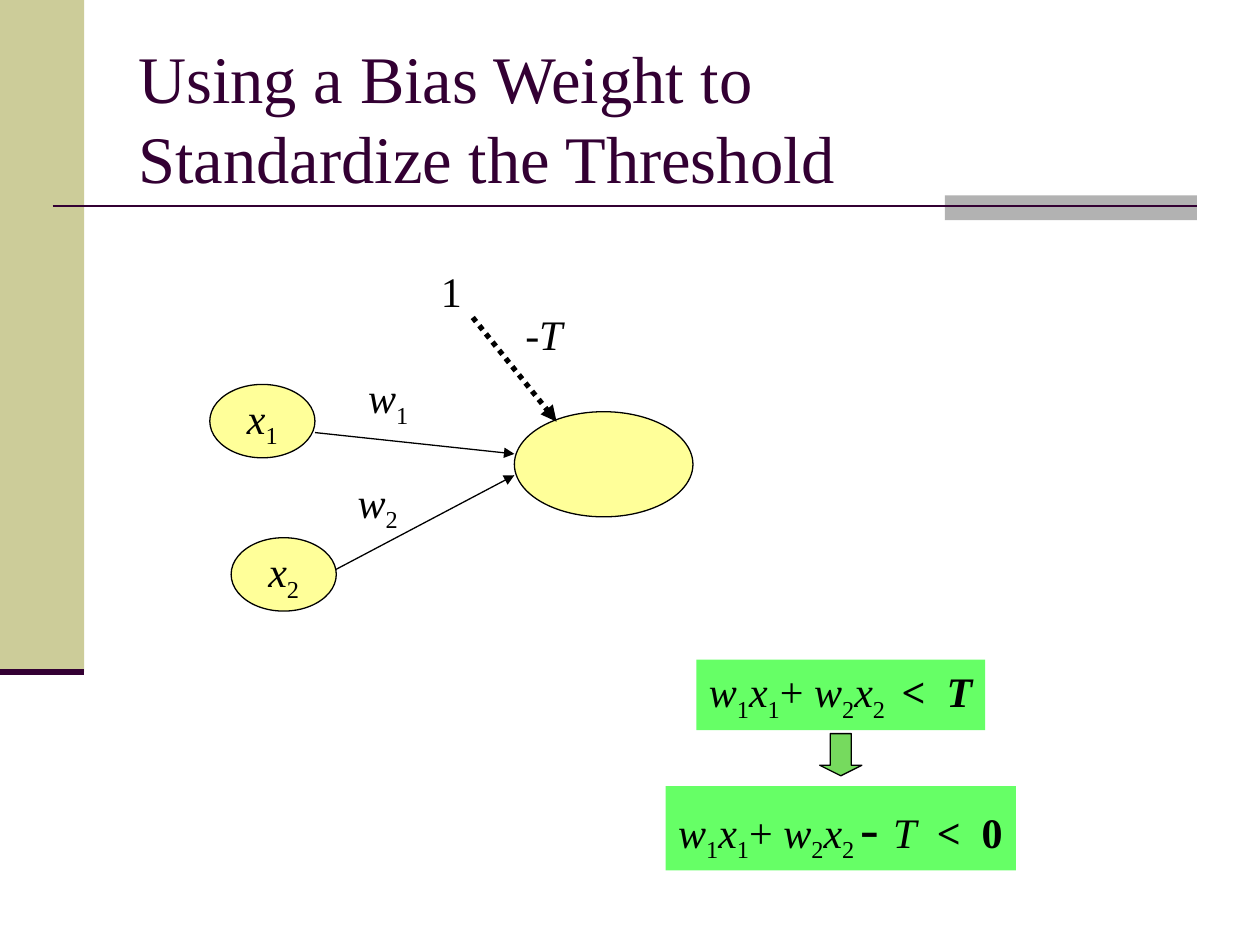
from lxml import etree
from pptx import Presentation
from pptx import util as u
from pptx.dml.color import RGBColor
from pptx.enum import dml, shapes, text
from pptx.oxml.ns import qn

FONT = "Times New Roman"
INK, PLUM, KHAKI, GREY = "000000", "330033", "CCCC99", "B2B2B2"
YELLOW, GREEN, LEAF = "FFFF99", "66FF66", "76DA5E"

# All positions are in cm: left, top, width, height
TITLE = ("Using a Bias Weight to", "Standardize the Threshold")
TITLE_AREA = (2.54, 0.76, 21.59, 3.18)
BANDS = [((0, 0, 1.7, 13.55), KHAKI), ((19.05, 3.94, 5.08, 0.5), GREY)]
RULES = [((1.06, 4.15), (24.13, 4.15), 1.5), ((0, 13.55), (1.7, 13.55), 3.5)]

# Runs are (text, style): i italic, b bold, s subscript, L larger
OUTPUT_NODE = (10.37, 8.3, 3.6, 2.12)
INPUT_SIZE = (2.12, 1.48)
INPUTS = [((4.23, 7.75), [("x", "i"), ("1", "s")]),
          ((4.66, 10.84), [("x", "i"), ("2", "s")])]
LABELS = [((8.64, 5.23, 0.91, 1.27), [("1", "")]),
          ((10.34, 6.1, 1.4, 1.27), [("-T", "i")]),
          ((7.17, 7.37, 1.32, 1.42), [("w", "i"), ("1", "s")]),
          ((6.96, 9.48, 1.32, 1.42), [("w", "i"), ("2", "s")])]
BIAS_EDGE = ((9.53, 6.4), (11.22, 8.5))
INPUT_EDGES = [((6.35, 8.72), (10.37, 9.15)), ((6.77, 11.48), (10.37, 9.58))]

WEIGHTED_SUM = [("w", "i"), ("1", "s"), ("x", "i"), ("1", "s"), ("+ ", ""),
                ("w", "i"), ("2", "s"), ("x", "i"), ("2 ", "s")]
CONDITION_CENTRE = 16.95
CONDITIONS = [  # top, width, height, runs
    (13.3, 5.82, 1.42, WEIGHTED_SUM + [(" <  ", "b"), ("T", "bi")]),
    (15.85, 7.06, 1.7, WEIGHTED_SUM + [("- ", "L"), ("T  ", "i"), ("<  0", "b")]),
]
STEP_TOP, STEP_SIZE = 14.79, 0.85


def rgb(value):
    return RGBColor.from_string(value)


def cm(values):
    return [u.Cm(v) for v in values]


def add_runs(paragraph, runs, size=24, color=INK):
    for words, style in runs:
        run = paragraph.add_run()
        run.text = words
        run.font.name = FONT
        run.font.size = u.Pt(32 if "L" in style else size)
        run.font.color.rgb = rgb(color)
        run.font.italic = "i" in style
        run.font.bold = "b" in style
        if "s" in style:
            run.font._element.set("baseline", "-25000")


def fill_frame(shape, runs, align=text.PP_ALIGN.LEFT, anchor=text.MSO_ANCHOR.TOP,
               grow=True):
    frame = shape.text_frame
    frame.word_wrap = False
    frame.vertical_anchor = anchor
    if grow:
        frame.auto_size = text.MSO_AUTO_SIZE.SHAPE_TO_FIT_TEXT
    frame.paragraphs[0].alignment = align
    add_runs(frame.paragraphs[0], runs)


def add_shape(slide, preset, area, fill, outlined=False):
    shape = slide.shapes.add_shape(preset, *cm(area))
    shape.shadow.inherit = False
    shape.fill.solid()
    shape.fill.fore_color.rgb = rgb(fill)
    if outlined:
        shape.line.color.rgb = rgb(INK)
        shape.line.width = u.Pt(0.75)
    else:
        shape.line.fill.background()
    return shape


def add_line(slide, start, end, width, color=INK, arrow=False, dotted=False):
    line = slide.shapes.add_connector(shapes.MSO_CONNECTOR.STRAIGHT,
                                      *cm(start + end))
    line.line.color.rgb = rgb(color)
    line.line.width = u.Pt(width)
    if dotted:
        line.line.dash_style = dml.MSO_LINE.ROUND_DOT
    if arrow:
        etree.SubElement(line.line._get_or_add_ln(), qn("a:tailEnd"), type="triangle")
    etree.SubElement(line._element.spPr, qn("a:effectLst"))


def add_title(slide):
    frame = slide.shapes.add_textbox(*cm(TITLE_AREA)).text_frame
    frame.word_wrap = True
    frame.vertical_anchor = text.MSO_ANCHOR.MIDDLE
    frame.margin_top = frame.margin_bottom = 0
    paragraph = frame.paragraphs[0]
    add_runs(paragraph, [(TITLE[0] + " ", "")], 38, PLUM)
    paragraph.add_line_break()
    add_runs(paragraph, [(TITLE[1], "")], 38, PLUM)


def add_network(slide):
    oval = shapes.MSO_SHAPE.OVAL
    add_shape(slide, oval, OUTPUT_NODE, YELLOW, outlined=True)
    add_line(slide, *BIAS_EDGE, 3, arrow=True, dotted=True)
    for corner, runs in INPUTS:
        node = add_shape(slide, oval, corner + INPUT_SIZE, YELLOW, outlined=True)
        fill_frame(node, runs, text.PP_ALIGN.CENTER, text.MSO_ANCHOR.MIDDLE, grow=False)
    for start, end in INPUT_EDGES:
        add_line(slide, start, end, 0.75, arrow=True)
    for area, runs in LABELS:
        fill_frame(slide.shapes.add_textbox(*cm(area)), runs)


def add_conditions(slide):
    for top, width, height, runs in CONDITIONS:
        area = (CONDITION_CENTRE - width / 2, top, width, height)
        fill_frame(add_shape(slide, shapes.MSO_SHAPE.RECTANGLE, area, GREEN), runs)
    step = add_shape(slide, shapes.MSO_SHAPE.DOWN_ARROW,
                     (CONDITION_CENTRE - STEP_SIZE / 2, STEP_TOP, STEP_SIZE, STEP_SIZE),
                     LEAF, outlined=True)
    step.adjustments[0], step.adjustments[1] = 0.5, 0.25


def main():
    deck = Presentation()
    deck.slide_width, deck.slide_height = u.Cm(25.4), u.Cm(19.05)
    slide = deck.slides.add_slide(deck.slide_layouts[6])
    for area, fill in BANDS:
        add_shape(slide, shapes.MSO_SHAPE.RECTANGLE, area, fill)
    for start, end, width in RULES:
        add_line(slide, start, end, width, PLUM)
    add_title(slide)
    add_network(slide)
    add_conditions(slide)
    deck.save("out.pptx")


if __name__ == "__main__":
    main()
